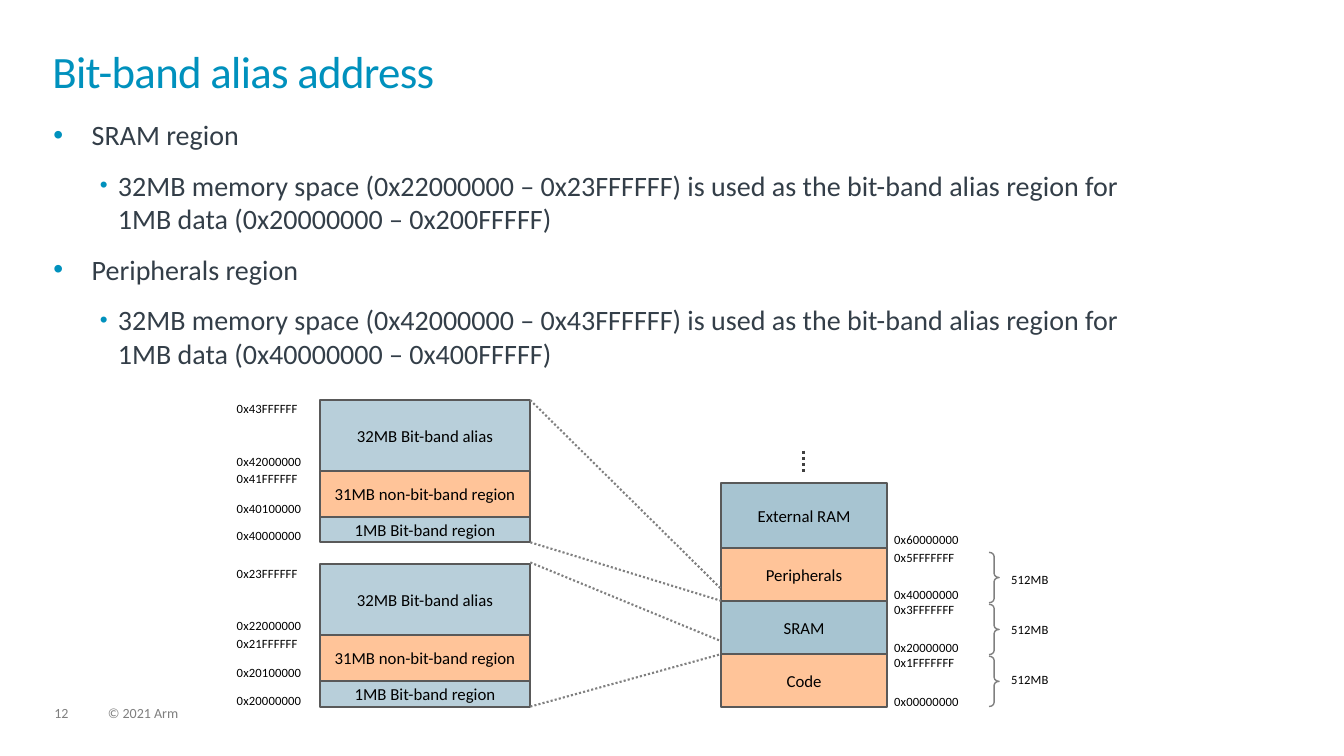
"""Build the slide on bit-band alias addresses."""
from dataclasses import dataclass

from lxml import etree
from pptx import Presentation
from pptx.dml.color import RGBColor
from pptx.enum.dml import MSO_LINE
from pptx.enum.shapes import MSO_CONNECTOR, MSO_SHAPE
from pptx.enum.text import MSO_ANCHOR, PP_ALIGN
from pptx.oxml.ns import qn
from pptx.util import Inches, Pt

STRAIGHT = MSO_CONNECTOR.STRAIGHT
RECTANGLE = MSO_SHAPE.RECTANGLE
RIGHT_BRACE = MSO_SHAPE.RIGHT_BRACE
DOTTED = MSO_LINE.ROUND_DOT
MIDDLE = MSO_ANCHOR.MIDDLE
CENTER = PP_ALIGN.CENTER


@dataclass(frozen=True)
class Theme:
    """Colours, font and type sizes of the slide."""
    font: str = "Calibri"
    accent: str = "0091BD"
    body: str = "333E48"
    black: str = "000000"
    footer: str = "7F7F7F"
    guide: str = "808080"
    outline: str = "595959"
    ellipsis: str = "404040"
    blue: str = "A7C4D1"
    pale_blue: str = "B8CFDA"
    orange: str = "FFC499"
    title_size: int = 32
    body_size: int = 20
    block_size: int = 12
    footer_size: int = 10
    address_size: int = 9


THEME = Theme()
CELL = 0.1
ROOMY = {"margin_left": Inches(0.1), "margin_right": Inches(0.1),
         "margin_top": Inches(0.05), "margin_bottom": Inches(0.05)}
FLUSH = dict.fromkeys(ROOMY, 0)

BULLETS = [
    (0, "SRAM region"),
    (1, "32MB memory space (0x22000000 – 0x23FFFFFF) is used as the bit-band "
        "alias region for 1MB data (0x20000000 – 0x200FFFFF)"),
    (0, "Peripherals region"),
    (1, "32MB memory space (0x42000000 – 0x43FFFFFF) is used as the bit-band "
        "alias region for 1MB data (0x40000000 – 0x400FFFFF)"),
]
BULLET_LEVELS = [
    {"indent": 0.38, "hang": 0.38, "scale": 100},
    {"indent": 0.64, "hang": 0.18, "scale": 80},
]

REGION_LEFT, REGION_WIDTH = 31.7, 20.9
REGION_BLOCKS = [
    ("32MB Bit-band alias", 7, THEME.pale_blue),
    ("31MB non-bit-band region", 4.6, THEME.orange),
    ("1MB Bit-band region", 2.5, THEME.pale_blue),
]
REGION_ADDRESS_ROWS = [-0.4, 4.8, 6.55, 9.5, 12.2]
REGIONS = [
    (39.7, ["0x43FFFFFF", "0x42000000", "0x41FFFFFF", "0x40100000", "0x40000000"]),
    (56, ["0x23FFFFFF", "0x22000000", "0x21FFFFFF", "0x20100000", "0x20000000"]),
]

MAP_LEFT, MAP_TOP, MAP_WIDTH = 71.5, 47.9, 16.5
MAP_BLOCKS = [
    ("External RAM", 6.5, THEME.blue),
    ("Peripherals", 5.25, THEME.orange),
    ("SRAM", 5.25, THEME.blue),
    ("Code", 5.2, THEME.orange),
]
MAP_ADDRESSES = [
    (52.3, "0x60000000"), (54.1, "0x5FFFFFFF"), (57.7, "0x40000000"),
    (59.2, "0x3FFFFFFF"), (63, "0x20000000"), (64.5, "0x1FFFFFFF"),
    (68.3, "0x00000000"),
]
ZOOM_ROWS = [(39.7, 58.4), (53.8, 59.6), (55.8, 63.6), (70.1, 64.9)]


def grid(*cells):
    """Turn counts of grid cells into lengths."""
    return [Inches(CELL * count) for count in cells]


def apply_format(target, values):
    """Set every named attribute on the target."""
    for name, value in values.items():
        setattr(target, name, value)


def write(paragraph, text, size, color, spacing=0):
    """Add one styled run to a paragraph."""
    run = paragraph.add_run()
    run.text = text
    apply_format(run.font, {"name": THEME.font, "size": Pt(size)})
    run.font.color.rgb = RGBColor.from_string(color)
    if spacing:
        run.font._element.set("spc", str(spacing))


def add_frame(slide, box, margins):
    """Add a wrapping text box and return its text frame."""
    frame = slide.shapes.add_textbox(*grid(*box)).text_frame
    apply_format(frame, {"word_wrap": True, **margins})
    return frame


def add_label(slide, box, text, size, color, margins=FLUSH, spacing=0, leading=1.0):
    """Add a single-paragraph label."""
    paragraph = add_frame(slide, box, margins).paragraphs[0]
    paragraph.line_spacing = leading
    write(paragraph, text, size, color, spacing)


def add_note(slide, left, top, width, text):
    """Add a small diagram label."""
    add_label(slide, (left, top, width, 2.5), text, THEME.address_size,
              THEME.black, ROOMY, spacing=10)


def set_bullet(paragraph, indent, hang, scale):
    """Give a paragraph a hanging coloured bullet."""
    properties = paragraph._p.get_or_add_pPr()
    properties.set("marL", str(Inches(indent)))
    properties.set("indent", str(-Inches(hang)))
    color = etree.SubElement(properties, qn("a:buClr"))
    etree.SubElement(color, qn("a:srgbClr"), val=THEME.accent)
    etree.SubElement(properties, qn("a:buSzPct"), val=str(scale * 1000))
    etree.SubElement(properties, qn("a:buFont"), typeface="Arial")
    etree.SubElement(properties, qn("a:buChar"), char="•")


def add_bullets(slide, box):
    """Add the two-level bullet list."""
    frame = add_frame(slide, box, FLUSH)
    for index, (level, text) in enumerate(BULLETS):
        paragraph = frame.add_paragraph() if index else frame.paragraphs[0]
        set_bullet(paragraph, **BULLET_LEVELS[level])
        apply_format(paragraph, {"level": level, "space_before": Pt(12 if index else 0)})
        write(paragraph, text, THEME.body_size, THEME.body)


def style_line(line, color, width):
    """Set the colour and width of a line."""
    line.color.rgb = RGBColor.from_string(color)
    line.width = Pt(width)


def add_stack(slide, left, top, width, blocks):
    """Pile labelled memory blocks downwards from the top."""
    for text, height, color in blocks:
        block = slide.shapes.add_shape(RECTANGLE, *grid(left, top, width, height))
        block.shadow.inherit = False
        block.fill.solid()
        block.fill.fore_color.rgb = RGBColor.from_string(color)
        style_line(block.line, THEME.outline, 1.5)
        apply_format(block.text_frame, {"word_wrap": False, "vertical_anchor": MIDDLE})
        paragraph = block.text_frame.paragraphs[0]
        paragraph.alignment = CENTER
        write(paragraph, text, THEME.block_size, THEME.black)
        top += height


def add_dotted_line(slide, start, end, color, width):
    """Draw a dotted straight line between two grid points."""
    dotted = slide.shapes.add_connector(STRAIGHT, *grid(*start, *end))
    style_line(dotted.line, color, width)
    dotted.line.dash_style = DOTTED
    etree.SubElement(dotted._element.spPr, qn("a:effectLst"))


def add_brace(slide, box):
    """Draw a right brace marking the span of a region."""
    brace = slide.shapes.add_shape(RIGHT_BRACE, *grid(*box))
    brace.shadow.inherit = False
    brace.fill.background()
    brace.adjustments[0] = 0.4
    style_line(brace.line, THEME.guide, 1)


def add_memory_map(slide):
    """Draw the whole memory map with addresses and sizes."""
    add_stack(slide, MAP_LEFT, MAP_TOP, MAP_WIDTH, MAP_BLOCKS)
    add_dotted_line(slide, (79.7, 44.7), (79.7, 46.9), THEME.ellipsis, 2.25)
    for top, address in MAP_ADDRESSES:
        add_note(slide, 87.7, top, 11, address)
    for index in range(3):
        add_brace(slide, (98.1, 54.8 + 5.15 * index, 1, 5))
        add_note(slide, 99.3, 56.2 + 5 * index, 7.7, "512MB")


def add_regions(slide):
    """Draw the enlarged regions and the lines tying them to the map."""
    for top, addresses in REGIONS:
        add_stack(slide, REGION_LEFT, top, REGION_WIDTH, REGION_BLOCKS)
        for row, address in zip(REGION_ADDRESS_ROWS, addresses):
            add_note(slide, 22.5, top + row, 11, address)
    for region_row, map_row in ZOOM_ROWS:
        add_dotted_line(slide, (REGION_LEFT + REGION_WIDTH, region_row),
                        (MAP_LEFT, map_row), THEME.guide, 1.5)


def main():
    """Assemble and save the slide."""
    deck = Presentation()
    apply_format(deck, {"slide_width": Inches(13.33), "slide_height": Inches(7.5)})
    slide = deck.slides.add_slide(deck.slide_layouts[6])
    for left, width, text in [(5.4, 3.4, "12"), (10.7, 50.7, "© 2021 Arm")]:
        add_label(slide, (left, 70.1, width, 1.5), text, THEME.footer_size,
                  THEME.footer, leading=0.9)
    add_label(slide, (5.2, 5.2, 122.8, 7.2), "Bit-band alias address",
              THEME.title_size, THEME.accent, spacing=-50, leading=0.85)
    add_bullets(slide, (5.3, 11.7, 109.7, 31.4))
    add_memory_map(slide)
    add_regions(slide)
    deck.save("out.pptx")


if __name__ == "__main__":
    main()
